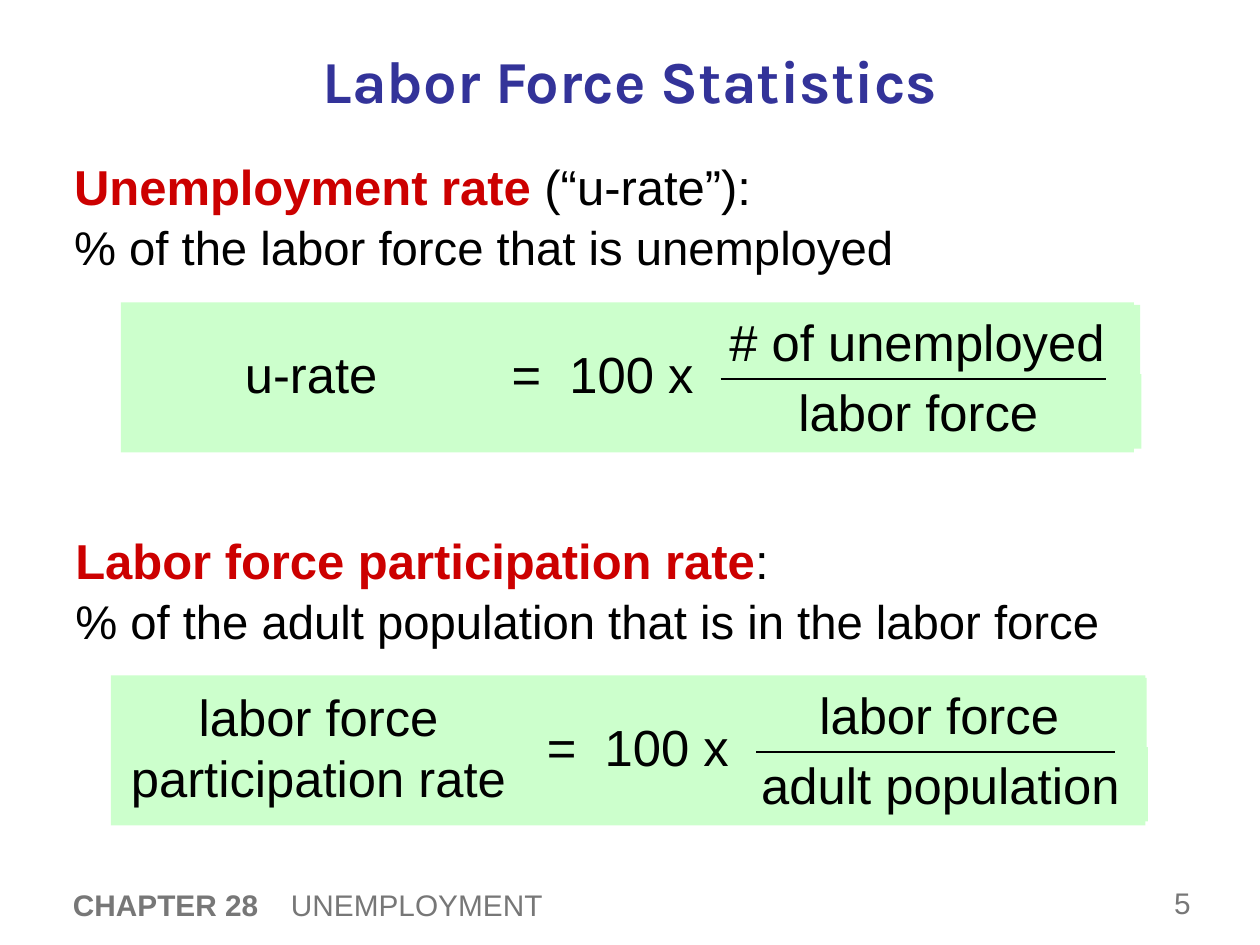
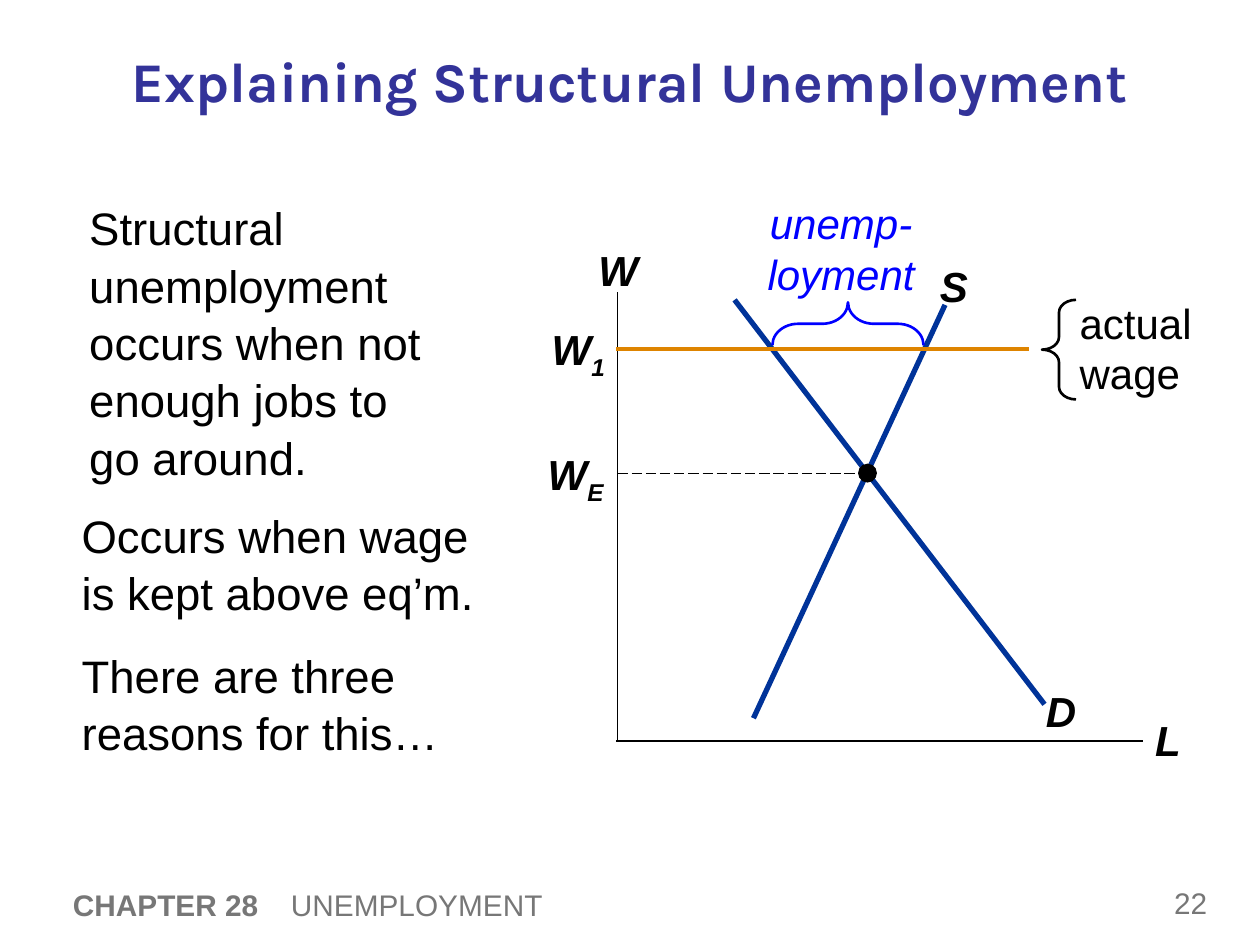
from lxml import etree
from pptx import Presentation
from pptx.dml.color import RGBColor
from pptx.enum.dml import MSO_LINE
from pptx.enum.shapes import MSO_CONNECTOR, MSO_SHAPE
from pptx.enum.text import MSO_ANCHOR, MSO_AUTO_SIZE, PP_ALIGN
from pptx.oxml.ns import qn
from pptx.util import Pt

PX = 9144  # 100 px to the inch
LEFT, CENTER, RIGHT = PP_ALIGN.LEFT, PP_ALIGN.CENTER, PP_ALIGN.RIGHT
TOP, MIDDLE = MSO_ANCHOR.TOP, MSO_ANCHOR.MIDDLE
STRAIGHT, LONG_DASH = MSO_CONNECTOR.STRAIGHT, MSO_LINE.LONG_DASH
RECTANGLE, OVAL, BRACE = MSO_SHAPE.RECTANGLE, MSO_SHAPE.OVAL, MSO_SHAPE.LEFT_BRACE

BLACK = RGBColor(0x00, 0x00, 0x00)
GREY = RGBColor(0x77, 0x77, 0x77)
INDIGO = RGBColor(0x33, 0x33, 0x99)
RED = RGBColor(0xCC, 0x00, 0x00)
MINT = RGBColor(0xCC, 0xFF, 0xCC)
NAVY = RGBColor(0x00, 0x33, 0x99)
ORANGE = RGBColor(0xDE, 0x84, 0x00)
BLUE = RGBColor(0x00, 0x00, 0xFF)

TEXT_FONT, TITLE_FONT = "Arial", "Karla"
INSET = (10, 5)
CHAPTER, TOPIC, TOPIC_TAB = "CHAPTER 28", "UNEMPLOYMENT", 173

# Term, rest of its line, explanation, left, top
DEFINITIONS = [
    ("Unemployment rate", " (“u-rate”):", "% of the labor force that is unemployed", 49, 117),
    ("Labor force participation rate", ":",
     "% of the adult population that is in the labor force", 50, 414),
]

# Across the page: panel, result and fraction are (left, width), bar is (from, to)
FORMULAS = [
    dict(top=240, panel=(96, 804), result=(106, 282), factor=406, fraction=(551, 354),
         bar=(572, 878), words=("u-rate", "# of unemployed", "labor force")),
    dict(top=536, panel=(88, 821), result=(90, 326), factor=434, fraction=(581, 329),
         bar=(600, 885),
         words=("labor force participation rate", "labor force", "adult population")),
]

EXPLANATIONS = [
    ((61, 152, 351, 246),
     ["Structural unemployment\noccurs when not enough jobs to\ngo around."]),
    ((55, 396, 403, 279),
     ["Occurs when wage\nis kept above eq’m.", "There are three reasons for this…"]),
]

# Start, end, colour, points, dash
GRAPH_LINES = [
    ((490, 232), (490, 588), BLACK, 1, None),
    ((489, 588), (907, 588), BLACK, 1, None),
    ((583, 238), (829, 559), NAVY, 3, None),
    ((598, 570), (750, 242), NAVY, 3, None),
    ((490, 376), (689, 376), BLACK, 0.75, LONG_DASH),
    ((489, 277), (817, 277), ORANGE, 2.25, None),
]
EQUILIBRIUM = (681, 368, 15, 15)
CURVE_LABELS = [("W", (465, 189, 46, 50)), ("L", (902, 562, 50, 50)),
                ("D", (814, 539, 56, 50)), ("S", (729, 202, 56, 50))]
WAGE_LABELS = [("E", (377, 356, 102, 46)), ("1", (378, 257, 102, 46))]
# Place, colour, turn, curl
BRACES = [((827, 238, 27, 79), BLACK, 0, 0.37), ((656, 197, 34, 120), BLUE, 90, 0.6)]


def span(text, size, color=BLACK, bold=False, italic=False, font=TEXT_FONT, baseline=None):
    return dict(text=text, size=size, color=color, bold=bold, italic=italic,
                font=font, baseline=baseline)


def add_span(para, text, size, color, bold, italic, font, baseline):
    for number, line in enumerate(text.split("\n")):
        if number:
            para.add_line_break()
        run = para.add_run()
        run.text = line
        run.font.name = font
        run.font.size = Pt(size)
        run.font.bold = bold
        run.font.italic = italic
        run.font.color.rgb = color
        if baseline:
            run.font._element.set("baseline", str(baseline * 1000))


def write(box, paragraphs, align=LEFT, anchor=TOP, inset=INSET, spacing=None, before=0):
    """Fill a shape with paragraphs, each a list of spans."""
    frame = box.text_frame
    frame.word_wrap = True
    frame.auto_size = MSO_AUTO_SIZE.NONE
    frame.vertical_anchor = anchor
    frame.margin_left = frame.margin_right = inset[0] * PX
    frame.margin_top = frame.margin_bottom = inset[1] * PX
    for number, spans in enumerate(paragraphs):
        para = frame.add_paragraph() if number else frame.paragraphs[0]
        para.alignment = align
        para.space_before = Pt(before)
        if spacing:
            para.line_spacing = spacing
        for parts in spans:
            add_span(para, **parts)


def scaled(place):
    return [value * PX for value in place]


def add_text(page, place, paragraphs, **layout):
    box = page.shapes.add_textbox(*scaled(place))
    write(box, paragraphs, **layout)
    return box


def add_filled(page, kind, place, color):
    shape = page.shapes.add_shape(kind, *scaled(place))
    shape.shadow.inherit = False
    shape.fill.solid()
    shape.fill.fore_color.rgb = color
    shape.line.fill.background()
    return shape


def add_line(page, start, end, color=BLACK, points=1, dash=None):
    line = page.shapes.add_connector(STRAIGHT, *scaled(start + end))
    line.line.color.rgb = color
    line.line.width = Pt(points)
    if dash:
        line.line.dash_style = dash
    etree.SubElement(line._element.spPr, qn("a:effectLst"))


def add_page(deck, title, title_size, number):
    """Start a slide with its title, footer and slide number."""
    page = deck.slides.add_slide(deck.slide_layouts[5])
    heading = page.shapes.title
    heading.left, heading.top, heading.width, heading.height = scaled((50, 28, 900, 71))
    write(heading, [[span(title, title_size, INDIGO, bold=True, font=TITLE_FONT)]],
          align=CENTER, anchor=MIDDLE)
    footer = add_text(page, (48, 696, 859, 44),
                      [[span(CHAPTER, 17, GREY, bold=True), span("\t" + TOPIC, 17, GREY)]],
                      anchor=MIDDLE)
    settings = footer.text_frame.paragraphs[0]._p.get_or_add_pPr()
    tabs = etree.SubElement(settings, qn("a:tabLst"))
    etree.SubElement(tabs, qn("a:tab"), pos=str(TOPIC_TAB * PX), algn="l")
    add_text(page, (922, 696, 67, 41), [[span(str(number), 17, GREY)]], anchor=MIDDLE)
    return page


def add_formula(page, top, panel, result, factor, fraction, bar, words):
    def add_term(place, text, **layout):
        term = add_filled(page, RECTANGLE, place, MINT)
        write(term, [[span(text, 29)]], **layout)

    name, numerator, denominator = words
    left, width = fraction
    centred = dict(anchor=MIDDLE, inset=(0, 0))
    add_filled(page, RECTANGLE, (panel[0], top, panel[1], 119), MINT)
    add_term((result[0], top + 5, result[1], 103), name, align=CENTER, **centred)
    add_term((left, top + 2, width, 59), numerator, align=CENTER)
    add_term((left + 1, top + 57, width, 59), denominator, align=CENTER)
    add_line(page, (bar[0], top + 61), (bar[1], top + 61))
    add_term((factor, top + 5, 155, 103), "=  100 x", **centred)


def build_statistics(deck):
    page = add_page(deck, "Labor Force Statistics", 34, 5)
    for term, rest, meaning, left, top in DEFINITIONS:
        spans = [span(term, 28, RED, bold=True), span(rest + "\n", 28), span(meaning, 27)]
        add_text(page, (left, top, 900, 118), [spans], spacing=1.05)
    for formula in FORMULAS:
        add_formula(page, **formula)


def build_structural(deck):
    page = add_page(deck, "Explaining Structural Unemployment", 32, 22)
    for place, texts in EXPLANATIONS:
        add_text(page, place, [[span(text, 26)] for text in texts], spacing=1.05, before=14.6)
    for line in GRAPH_LINES:
        add_line(page, *line)
    add_filled(page, OVAL, EQUILIBRIUM, BLACK)
    for letter, place in CURVE_LABELS:
        add_text(page, place, [[span(letter, 24, bold=True, italic=True)]], align=CENTER)
    for mark, place in WAGE_LABELS:
        spans = [span("W", 24, bold=True, italic=True),
                 span(mark, 24, bold=True, italic=True, baseline=-25)]
        add_text(page, place, [spans], align=RIGHT, inset=(0, 0))
    for place, color, turn, curl in BRACES:
        brace = page.shapes.add_shape(BRACE, *scaled(place))
        brace.shadow.inherit = False
        brace.fill.background()
        brace.line.color.rgb = color
        brace.line.width = Pt(1.5)
        brace.rotation = turn
        brace.adjustments[0] = curl
    add_text(page, (847, 231, 122, 90), [[span("actual wage", 24)]])
    add_text(page, (600, 157, 135, 80), [[span("unemp-loyment", 24, BLUE, italic=True)]],
             align=CENTER, inset=(0, 0))


def main():
    deck = Presentation()
    deck.slide_width, deck.slide_height = scaled((1000, 750))
    build_statistics(deck)
    build_structural(deck)
    deck.save("out.pptx")


if __name__ == "__main__":
    main()
